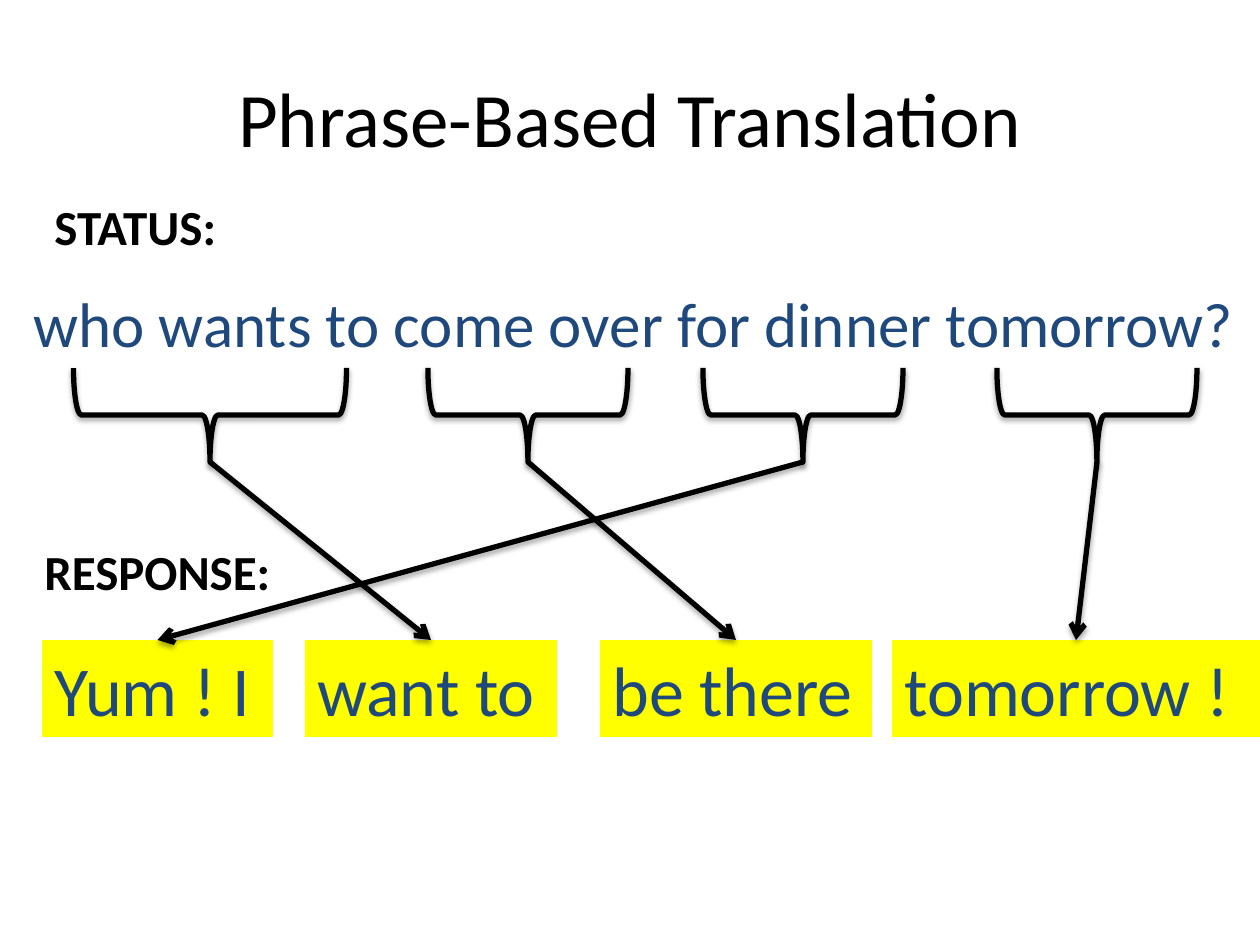
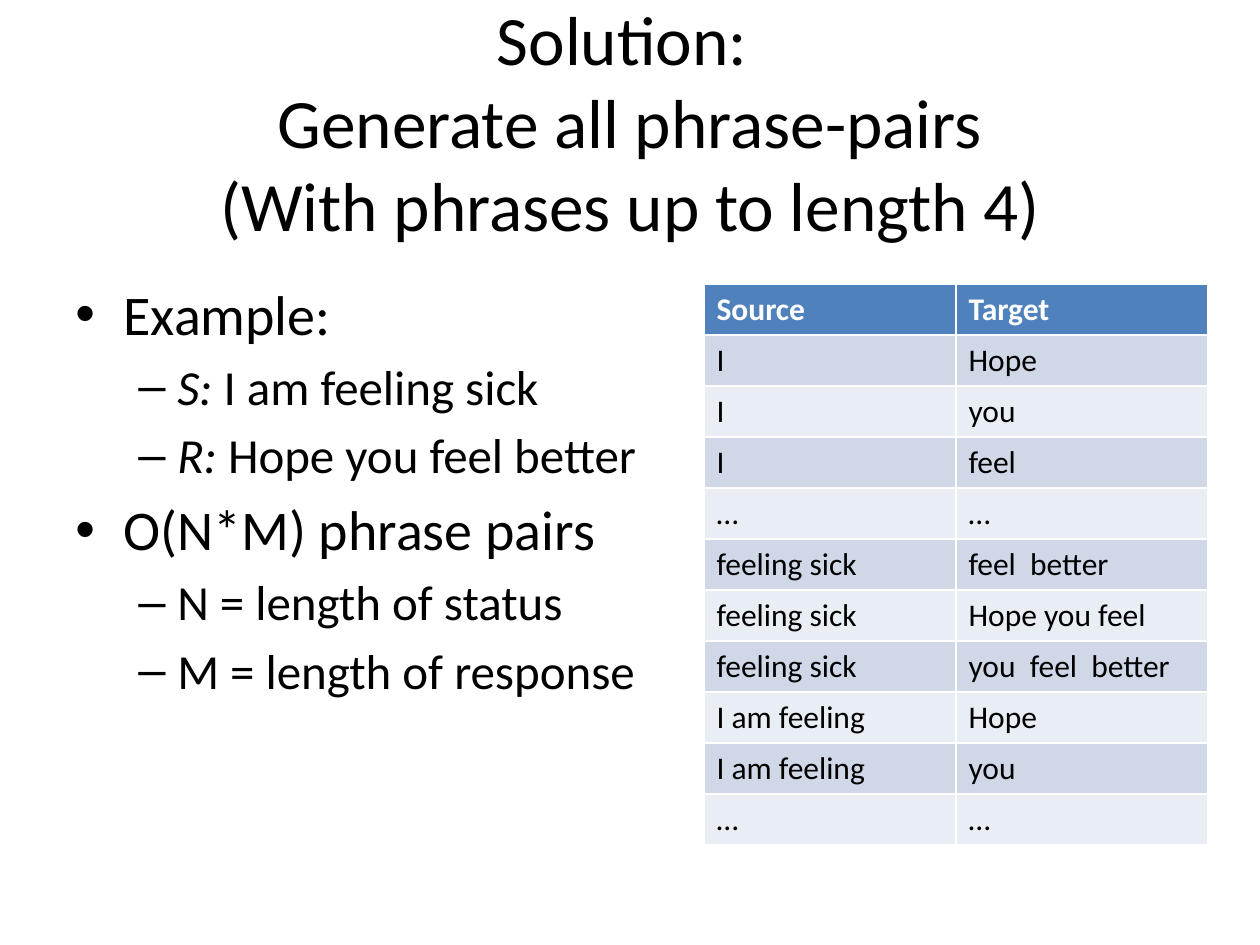
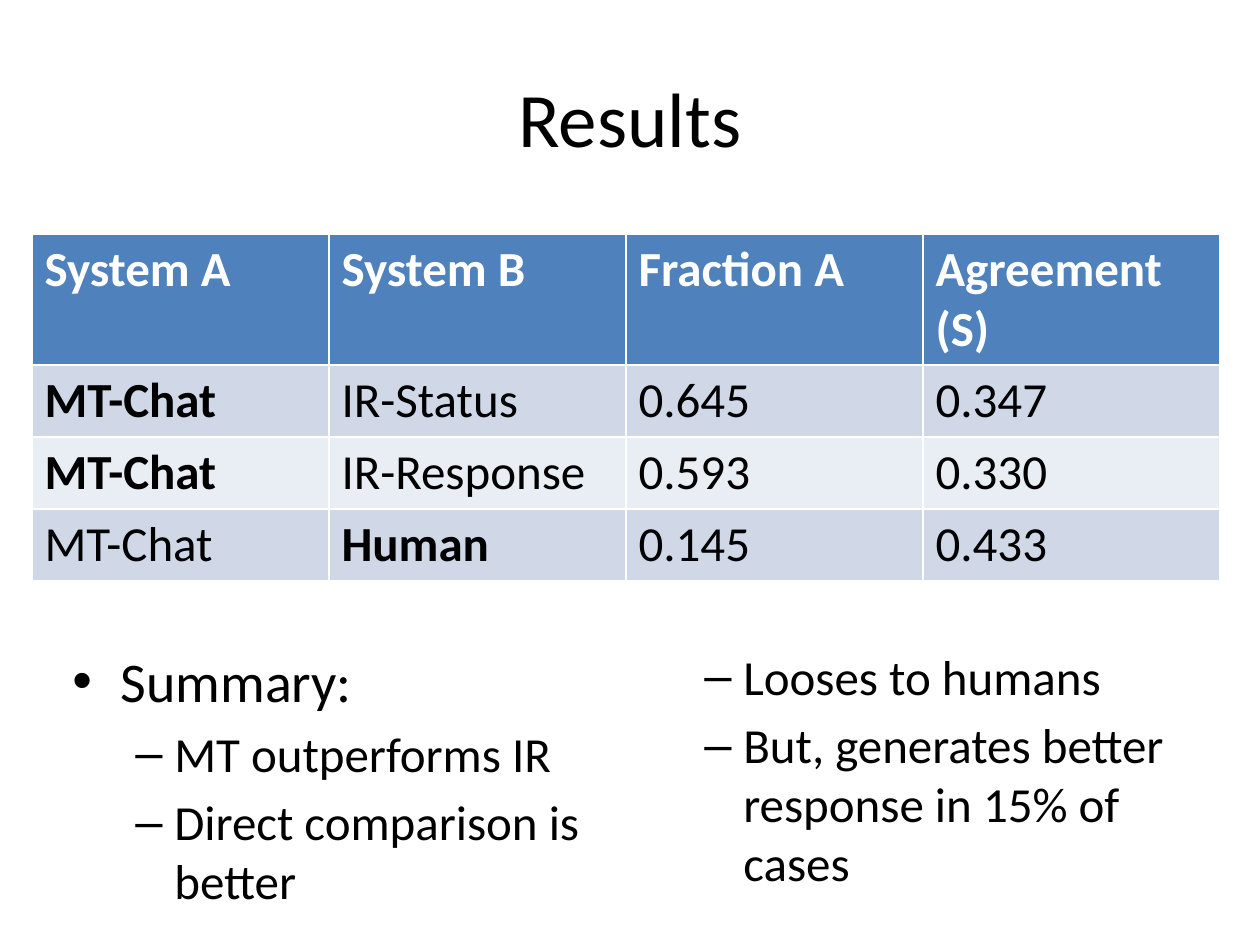
from lxml.etree import SubElement
from pptx import Presentation
from pptx.dml.color import RGBColor
from pptx.enum.shapes import MSO_CONNECTOR, MSO_SHAPE
from pptx.enum.text import MSO_ANCHOR, MSO_AUTO_SIZE, PP_ALIGN
from pptx.oxml.ns import qn
from pptx.util import Emu, Pt

FONT = "Calibri"
BLACK, WHITE, NAVY, YELLOW = "000000", "FFFFFF", "1F497D", "FFFF00"
HEADER, BANDS = "4F81BD", ("D0D8E8", "E9EDF4")
LEVELS = (("•", 32, 48, -48), ("–", 28, 102, -39))
BRACE_TOP, BRACE_DEPTH = 368, 94
PHRASE_TOP, PHRASE_HEIGHT = 640, 97


def px(n):
    """Turn pixels at 126 to the inch into EMU."""
    return Emu(round(n * 914400 / 126))


def rgb(value):
    """Turn a hex string into a colour."""
    return RGBColor.from_string(value)


def style(r, size, color=BLACK, bold=False, italic=False):
    """Format one run."""
    r.font.name, r.font.size = FONT, Pt(size)
    r.font.bold, r.font.italic = bold, italic
    r.font.color.rgb = rgb(color)


def title_slide(prs, text, size=44, top=38):
    """Add a title-only slide with a formatted title."""
    s = prs.slides.add_slide(prs.slide_layouts[5])
    sp = s.shapes.title
    sp.left, sp.top, sp.width, sp.height = map(px, (63, top, 1134, 158))
    tf = sp.text_frame
    tf.text = text
    tf.auto_size = MSO_AUTO_SIZE.NONE
    tf.vertical_anchor = MSO_ANCHOR.MIDDLE
    for p in tf.paragraphs:
        p.alignment = PP_ALIGN.CENTER
        style(p.runs[0], size)
    return s


def label(s, box, text, size, color=BLACK, bold=False, fill=None, wrap=True):
    """Add a one-line text box, filled if a fill is given."""
    sp = s.shapes.add_textbox(*map(px, box))
    if fill:
        sp.fill.solid()
        sp.fill.fore_color.rgb = rgb(fill)
    tf = sp.text_frame
    tf.word_wrap = wrap
    tf.text = text
    style(tf.paragraphs[0].runs[0], size, color, bold)


def ink(sp):
    """Give a brace or arrow its thick black line and soft shadow."""
    sp.line.color.rgb = rgb(BLACK)
    sp.line.width = Pt(3)
    effects = SubElement(sp._element.spPr, qn("a:effectLst"))
    shadow = SubElement(effects, qn("a:outerShdw"), blurRad="40000",
                        dist="23000", dir="5400000", rotWithShape="0")
    color = SubElement(shadow, qn("a:srgbClr"), val=BLACK)
    SubElement(color, qn("a:alpha"), val="35000")


def brace(s, center, width):
    """Add a brace that opens upwards under a phrase."""
    top = BRACE_TOP + (BRACE_DEPTH - width) / 2
    sp = s.shapes.add_shape(MSO_SHAPE.LEFT_BRACE, px(center - BRACE_DEPTH / 2),
                            px(top), px(BRACE_DEPTH), px(width))
    sp.rotation = 270
    sp.fill.background()
    ink(sp)


def arrow(s, start, end):
    """Add an arrow from a brace tip to a phrase box."""
    sp = s.shapes.add_connector(MSO_CONNECTOR.STRAIGHT, *map(px, start + end))
    ink(sp)
    SubElement(sp._element.spPr.find(qn("a:ln")), qn("a:tailEnd"), type="arrow")


def bullets(s, box, items):
    """Add a bulleted list; the first of two text parts is italic."""
    tf = s.shapes.add_textbox(*map(px, box)).text_frame
    tf.word_wrap = True
    for i, (level, *parts) in enumerate(items):
        p = tf.add_paragraph() if i else tf.paragraphs[0]
        mark, size, margin, indent = LEVELS[level]
        p.level = level
        p.space_before = Pt(size * 0.2 if i else 0)
        pPr = p._p.get_or_add_pPr()
        pPr.set("marL", str(px(margin)))
        pPr.set("indent", str(px(indent)))
        SubElement(pPr, qn("a:buFont"), typeface="Arial")
        SubElement(pPr, qn("a:buChar"), char=mark)
        for part in parts:
            r = p.add_run()
            r.text = part
            style(r, size, italic=part != parts[-1])


def table(s, left, top, col_width, heights, rows, size, bold_cells=()):
    """Add a banded table with a bold header row."""
    n_cols = len(rows[0])
    tbl = s.shapes.add_table(len(rows), n_cols, px(left), px(top),
                             px(col_width * n_cols), px(sum(heights))).table
    for col in tbl.columns:
        col.width = px(col_width)
    for i, texts in enumerate(rows):
        tbl.rows[i].height = px(heights[i])
        for j, text in enumerate(texts):
            cell = tbl.cell(i, j)
            cell.fill.solid()
            cell.fill.fore_color.rgb = rgb(BANDS[(i - 1) % 2] if i else HEADER)
            cell.text = text
            style(cell.text_frame.paragraphs[0].runs[0], size,
                  BLACK if i else WHITE, i == 0 or (i, j) in bold_cells)


def translation_slide(prs):
    """Show status phrases mapped to response phrases."""
    s = title_slide(prs, "Phrase-Based Translation")
    label(s, (21, 278, 1229, 89),
          "who wants to come over for dinner tomorrow?", 36, NAVY)
    label(s, (42, 190, 189, 72), "STATUS:", 28, bold=True, wrap=False)
    label(s, (32, 535, 253, 72), "RESPONSE:", 28, bold=True, wrap=False)
    for center, span, left, width, text in (
            (803, 200, 42, 231, "Yum ! I"),
            (210, 273, 305, 252, "want to"),
            (528, 200, 600, 272, "be there"),
            (1097, 200, 892, 368, "tomorrow !")):
        label(s, (left, PHRASE_TOP, width, PHRASE_HEIGHT), text, 40, NAVY,
              fill=YELLOW)
        brace(s, center, span)
        arrow(s, (center, BRACE_TOP + BRACE_DEPTH),
              (left + width / 2, PHRASE_TOP))


def pairs_slide(prs):
    """Show the generated phrase pairs."""
    s = title_slide(prs, "Solution: \nGenerate all phrase-pairs\n"
                    "(With phrases up to length 4)", 39.6, 42)
    bullets(s, (63, 273, 1134, 624), (
        (0, "Example:"),
        (1, "S:", " I am feeling sick"),
        (1, "R:", " Hope you feel better"),
        (0, "O(N*M) phrase pairs"),
        (1, "N = length of status"),
        (1, "M = length of response")))
    rows = (("Source", "Target"), ("I", "Hope"), ("I", "you"), ("I", "feel"),
            ("…", "…"), ("feeling sick", "feel  better"),
            ("feeling sick", "Hope you feel"),
            ("feeling sick", "you  feel  better"),
            ("I am feeling", "Hope"), ("I am feeling", "you"), ("…", "…"))
    table(s, 704, 284, 252, [51] * len(rows), rows, 18)


def results_slide(prs):
    """Show the comparison results and their summary."""
    s = title_slide(prs, "Results")
    bullets(s, (60, 640, 570, 284), (
        (0, "Summary:"),
        (1, "MT outperforms IR"),
        (1, "Direct comparison is better")))
    bullets(s, (629, 640, 570, 284), (
        (1, "Looses to humans"),
        (1, "But, generates better response in 15% of cases")))
    rows = (("System A", "System B", "Fraction A", "Agreement (S)"),
            ("MT-Chat", "IR-Status", "0.645", "0.347"),
            ("MT-Chat", "IR-Response", "0.593", "0.330"),
            ("MT-Chat", "Human", "0.145", "0.433"))
    table(s, 32, 234, 297, (131, 72, 72, 72), rows, 28,
          bold_cells=((1, 0), (2, 0), (3, 1)))


def main():
    """Build the deck."""
    prs = Presentation()
    prs.slide_width, prs.slide_height = px(1260), px(945)
    translation_slide(prs)
    pairs_slide(prs)
    results_slide(prs)
    prs.save("out.pptx")


if __name__ == "__main__":
    main()
